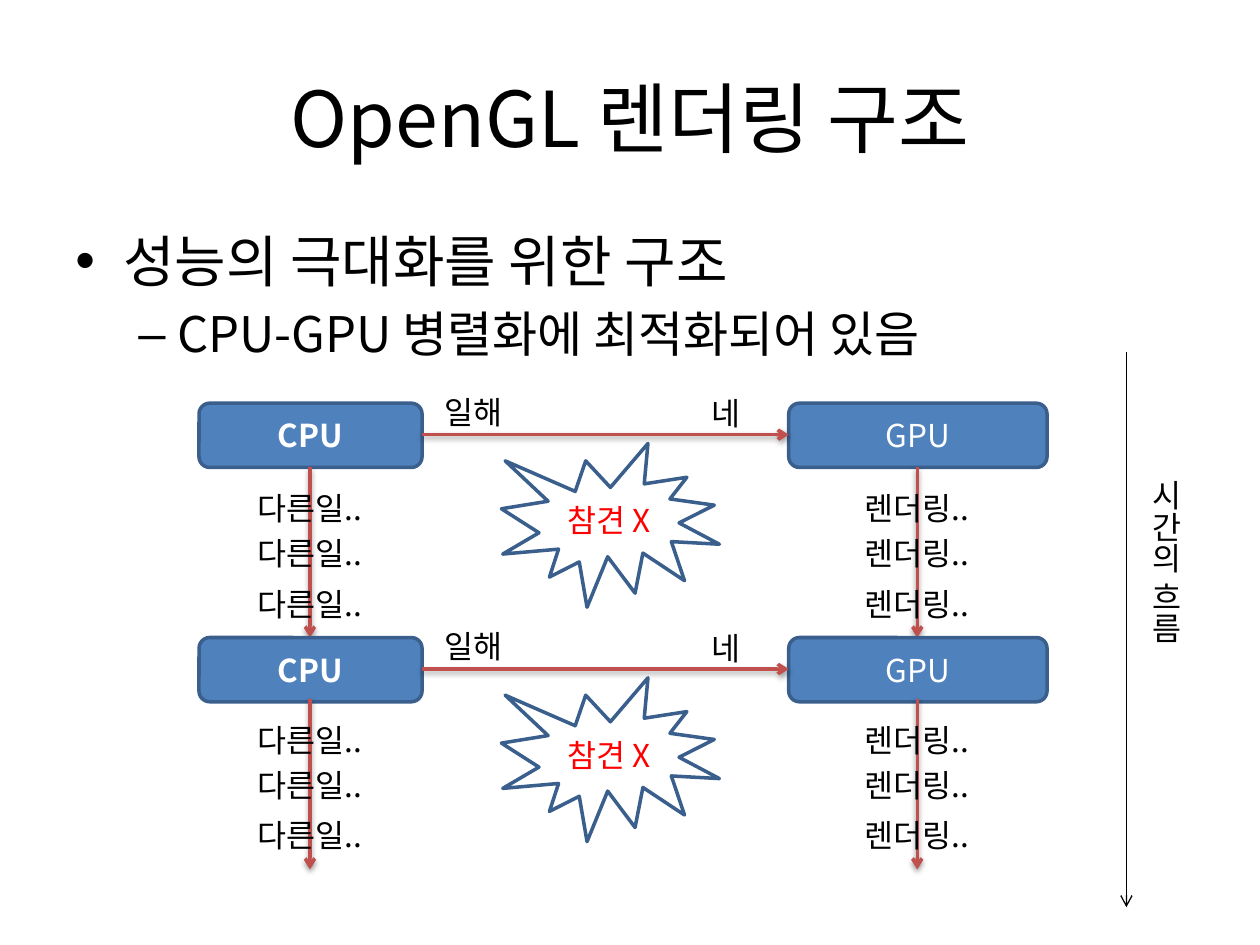
import pptx
import pptx.dml.color
import pptx.enum.shapes
import pptx.enum.text
import pptx.oxml
import pptx.oxml.ns
import pptx.util
from lxml import etree

Inches = pptx.util.Inches
Pt = pptx.util.Pt
qn = pptx.oxml.ns.qn
Shape = pptx.enum.shapes.MSO_SHAPE
Align = pptx.enum.text.PP_ALIGN
Anchor = pptx.enum.text.MSO_ANCHOR

BLACK, WHITE, RED = "000000", "FFFFFF", "FF0000"
BLUE, NAVY, BRICK = "4F81BD", "3A5F8C", "C0504D"


def color(value):
    """Turn a hex string into a colour."""
    return pptx.dml.color.RGBColor.from_string(value)


class SlideBuilder:
    """Draw styled elements on the current slide."""

    font = "Noto Sans CJK KR"

    def __init__(self, slide):
        """Keep the slide to draw on."""
        self.slide = slide

    def run(self, paragraph, text, size=18, ink=BLACK, bold=False):
        """Add one run in the slide font."""
        run = paragraph.add_run()
        run.text = text
        run.font.size = Pt(size)
        run.font.bold = bold
        run.font.name = self.font
        run.font.color.rgb = color(ink)
        latin = run.font._element.find(qn("a:latin"))
        east_asian = latin.makeelement(qn("a:ea"), {"typeface": self.font})
        latin.addnext(east_asian)

    def text(self, box, text=None, size=18, align=Align.LEFT, anchor=Anchor.TOP, vertical=False):
        """Add a text box and return its frame."""
        frame = self.slide.shapes.add_textbox(*map(Inches, box)).text_frame
        frame.word_wrap = True
        frame.vertical_anchor = anchor
        if vertical:
            frame._element.bodyPr.set("vert", "eaVert")
        if text:
            frame.paragraphs[0].alignment = align
            self.run(frame.paragraphs[0], text, size)
        return frame

    def bullet(self, paragraph, text, size, mark, level, margin, indent):
        """Fill a bulleted paragraph with a hanging indent."""
        paragraph.level = level
        paragraph.space_before = Pt(size * 0.2)
        props = paragraph._element.get_or_add_pPr()
        props.set("marL", str(Inches(margin)))
        props.set("indent", str(Inches(indent)))
        etree.SubElement(props, qn("a:buFont"), typeface="Arial")
        etree.SubElement(props, qn("a:buChar"), char=mark)
        self.run(paragraph, text, size)

    def shape(self, kind, box, text, ink, fill=None, bold=False):
        """Add an outlined shape with centred text."""
        shape = self.slide.shapes.add_shape(kind, *map(Inches, box))
        shape.shadow.inherit = False
        if fill:
            shape.fill.solid()
            shape.fill.fore_color.rgb = color(fill)
        else:
            shape.fill.background()
        shape.line.color.rgb = color(NAVY)
        shape.line.width = Pt(2)
        shape.text_frame.word_wrap = True
        shape.text_frame.vertical_anchor = Anchor.MIDDLE
        paragraph = shape.text_frame.paragraphs[0]
        paragraph.alignment = Align.CENTER
        self.run(paragraph, text, ink=ink, bold=bold)

    def arrow(self, start, end, ink=BRICK, width=2, shadow=True):
        """Add a straight arrow, with a soft shadow if wanted."""
        line = self.slide.shapes.add_connector(
            pptx.enum.shapes.MSO_CONNECTOR.STRAIGHT, *map(Inches, start + end))
        line.line.color.rgb = color(ink)
        line.line.width = Pt(width)
        etree.SubElement(line.line._get_or_add_ln(), qn("a:tailEnd"), type="arrow")
        effects = etree.SubElement(line._element.spPr, qn("a:effectLst"))
        if shadow:
            outer = etree.SubElement(
                effects, qn("a:outerShdw"), blurRad=str(Pt(3.1)), dist=str(Pt(1.6)),
                dir="5400000", rotWithShape="0")
            tint = etree.SubElement(outer, qn("a:srgbClr"), val=BLACK)
            etree.SubElement(tint, qn("a:alpha"), val="38000")


deck = pptx.Presentation()
deck.slide_width, deck.slide_height = Inches(10), Inches(7.5)
page = SlideBuilder(deck.slides.add_slide(deck.slide_layouts[6]))

page.text((0.5, 0.3, 9, 1.25), "OpenGL 렌더링 구조", 44, Align.CENTER, Anchor.MIDDLE)
points = page.text((0.5, 1.75, 9, 4.95))
page.bullet(points.paragraphs[0], "성능의 극대화를 위한 구조", 32, "•", 0, 0.38, -0.38)
page.bullet(points.add_paragraph(), "CPU-GPU 병렬화에 최적화되어 있음", 28, "–", 1, 0.81, -0.31)

processors = [("CPU", 1.58, 1.77, True, 2.46, "다른일.."),
              ("GPU", 6.26, 2.05, False, 7.28, "렌더링..")]
for top, work_top in ((3.2, 3.71), (5.06, 5.55)):
    for name, left, width, bold, center, task in processors:
        page.shape(Shape.ROUNDED_RECTANGLE, (left, top, width, 0.51), name, WHITE, BLUE, bold)
        page.arrow((center, work_top), (center, work_top + 1.35))
        for offset in (0.12, 0.48, 0.88):
            page.text((center - 0.55, work_top + offset, 1.1, 0.4), task, align=Align.CENTER)
    page.arrow((3.35, top + 0.25), (6.26, top + 0.25))
    page.text((3.43, top - 0.13, 0.71, 0.4), "일해")
    page.text((5.55, top - 0.12, 0.71, 0.4), "네")
    page.shape(Shape.EXPLOSION1, (3.98, top + 0.32, 1.73, 1.3), "참견 X", RED)

page.arrow((8.94, 2.79), (8.94, 7.2), BLACK, 0.75, shadow=False)
page.text((8.95, 3.71, 0.5, 2.36), "시간의 흐름", vertical=True)

deck.save("out.pptx")
